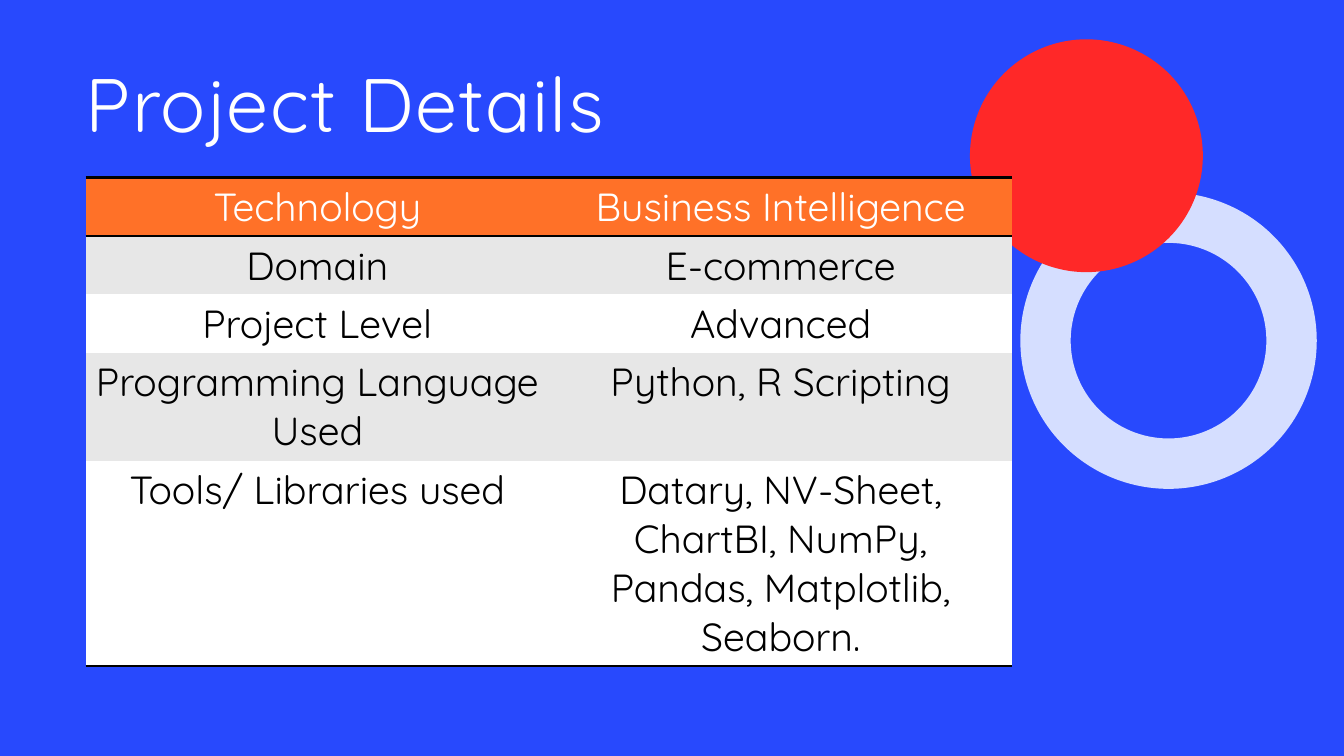
from lxml.etree import SubElement
from pptx import Presentation
from pptx.dml.color import RGBColor
from pptx.enum.shapes import MSO_SHAPE
from pptx.enum.text import MSO_ANCHOR, PP_ALIGN
from pptx.oxml.ns import qn
from pptx.util import Inches, Pt

BLUE, WHITE, BLACK = "2849FD", "FFFFFF", "000000"
ORANGE, GREY, RED, PALE_BLUE = "FF7128", "E7E7E7", "FF2828", "D5DEFF"
PLAIN_TABLE = "{2D5ABB26-0587-4C30-8999-92F81FD0307C}"

DETAILS = [
    ("Technology", "Business Intelligence"),
    ("Domain", "E-commerce"),
    ("Project Level", "Advanced"),
    ("Programming Language Used", "Python, R Scripting"),
    ("Tools/ Libraries used",
     "Datary, NV-Sheet, ChartBI, NumPy, Pandas, Matplotlib, Seaborn."),
]
ROW_HEIGHTS = [0.58, 0.58, 0.58, 1.07, 2.04]


def color(value):
    return RGBColor.from_string(value)


class SlideBuilder:
    font = "Quicksand"

    def __init__(self, slide, background):
        self.slide = slide
        fill = slide.background.fill
        fill.solid()
        fill.fore_color.rgb = color(background)

    def style(self, paragraph, size, ink):
        for span in paragraph.runs:
            span.font.name = self.font
            span.font.size = Pt(size)
            span.font.color.rgb = color(ink)

    def shape(self, kind, left, top, size, fill):
        shape = self.slide.shapes.add_shape(
            kind, Inches(left), Inches(top), Inches(size), Inches(size))
        shape.shadow.inherit = False
        shape.fill.solid()
        shape.fill.fore_color.rgb = color(fill)
        shape.line.fill.background()
        return shape

    def title(self, text, left, top, width, height):
        box = self.slide.shapes.add_textbox(
            Inches(left), Inches(top), Inches(width), Inches(height))
        frame = box.text_frame
        frame.word_wrap = True
        frame.vertical_anchor = MSO_ANCHOR.MIDDLE
        frame.margin_left = frame.margin_right = 0
        frame.margin_top = frame.margin_bottom = 0
        frame.text = text
        para = frame.paragraphs[0]
        para.line_spacing = 0.9
        self.style(para, 54, WHITE)
        for span in para.runs:
            span.font._element.set("spc", "100")

    def border(self, cell, side):
        properties = cell._tc.get_or_add_tcPr()
        line = SubElement(properties, qn(f"a:ln{side}"), w=str(Pt(2)))
        fill = SubElement(line, qn("a:solidFill"))
        SubElement(fill, qn("a:srgbClr"), val=BLACK)

    def cell(self, cell, text, fill, ink, sides):
        for side in sides:
            self.border(cell, side)
        cell.fill.solid()
        cell.fill.fore_color.rgb = color(fill)
        cell.text_frame.text = text
        para = cell.text_frame.paragraphs[0]
        para.alignment = PP_ALIGN.CENTER
        self.style(para, 28, ink)

    def table(self, rows, heights, left, top, width):
        frame = self.slide.shapes.add_table(
            len(rows), len(rows[0]), Inches(left), Inches(top),
            Inches(width), Inches(sum(heights)))
        table = frame.table
        table._tbl.tblPr.find(qn("a:tableStyleId")).text = PLAIN_TABLE
        last = len(rows) - 1
        for index, (texts, height) in enumerate(zip(rows, heights)):
            table.rows[index].height = Inches(height)
            header = index == 0
            fill = ORANGE if header else GREY if index % 2 else WHITE
            sides = "TB" if header else "B" if index == last else ""
            for column, text in enumerate(texts):
                self.cell(table.cell(index, column), text, fill,
                          WHITE if header else BLACK, sides)


def main():
    deck = Presentation()
    deck.slide_width, deck.slide_height = Inches(13.33), Inches(7.5)
    page = SlideBuilder(deck.slides.add_slide(deck.slide_layouts[6]), BLUE)
    ring = page.shape(MSO_SHAPE.DONUT, 10.12, 1.91, 2.94, PALE_BLUE)
    ring.adjustments[0] = 0.17
    page.shape(MSO_SHAPE.OVAL, 9.62, 0.39, 2.31, RED)
    page.title("Project Details", 0.85, 0.39, 7, 1.37)
    page.table(DETAILS, ROW_HEIGHTS, 0.85, 1.76, 9.19)
    deck.save("out.pptx")


if __name__ == "__main__":
    main()
